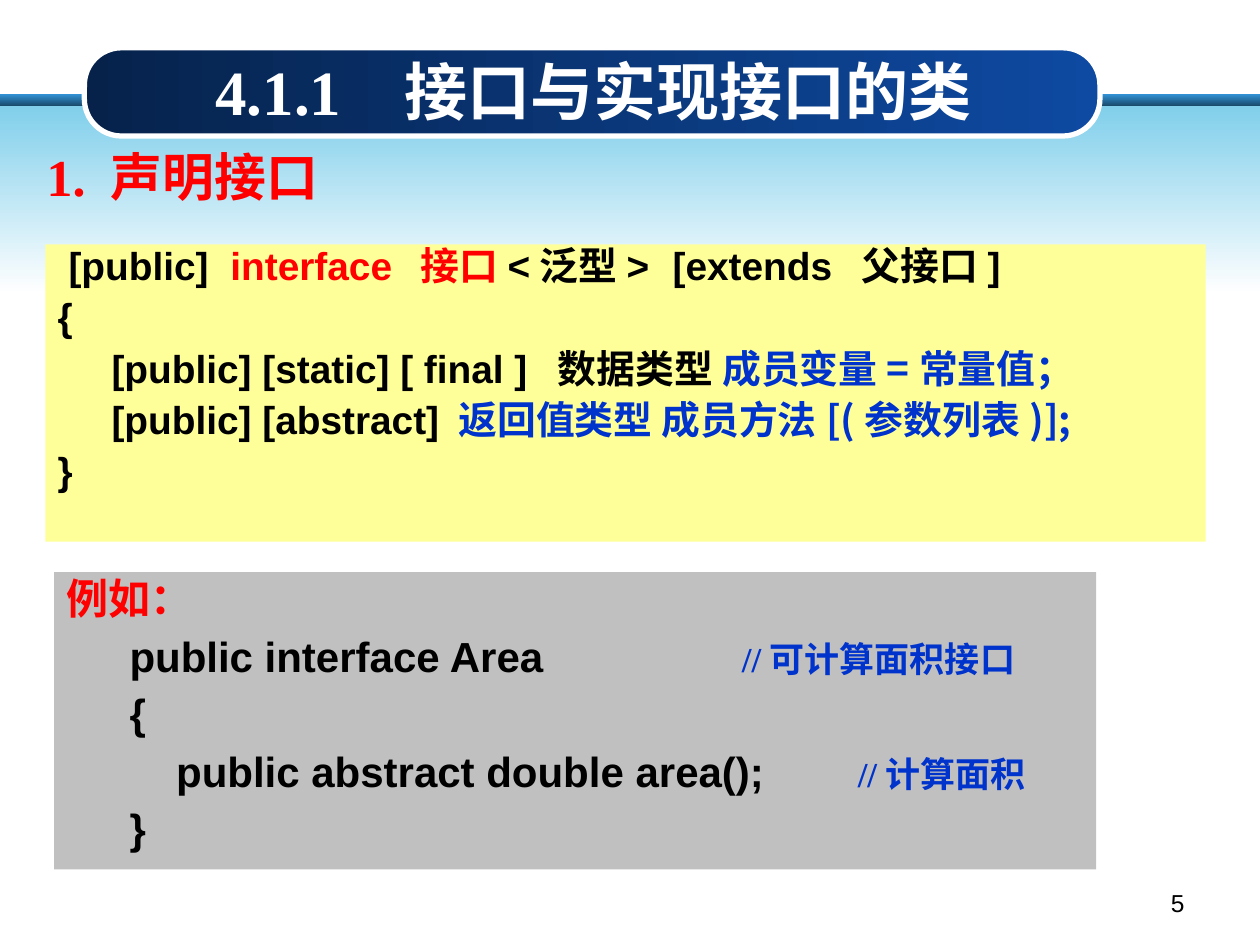
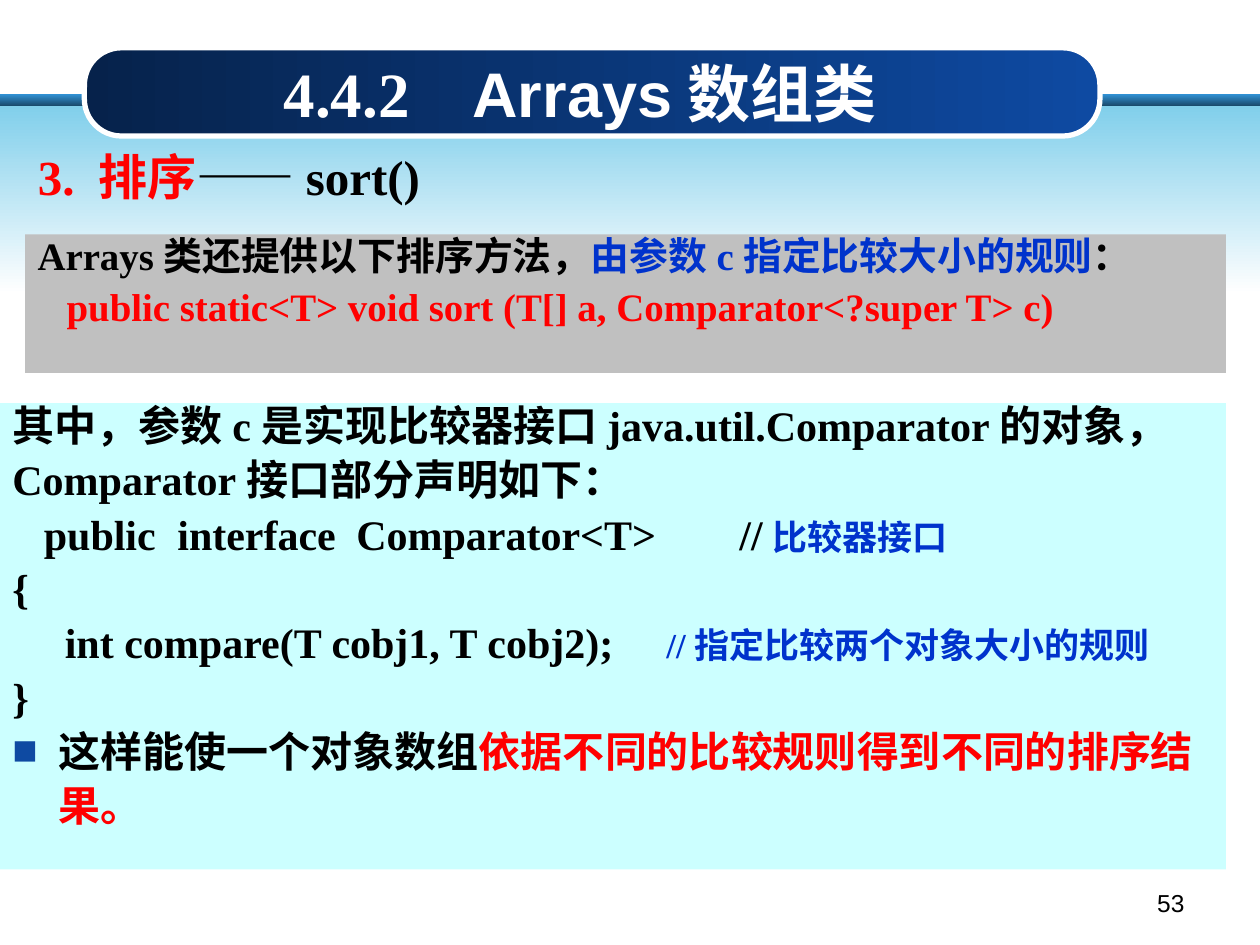
from dataclasses import dataclass

import pptx
import pptx.dml.color
import pptx.enum.shapes
import pptx.enum.text
import pptx.oxml.ns
import pptx.util
from lxml import etree

Inches = pptx.util.Inches
Pt = pptx.util.Pt


# Theme: colours, fonts and type sizes
class Theme:
    black, white, red, blue = "000000", "FFFFFF", "FF0000", "0033CC"
    yellow, gray, cyan = "FFFF99", "C0C0C0", "CCFFFF"
    navy, royal = "06224B", "0E4AA2"
    stripe_top, stripe_bottom, sky = "3191D3", "174362", "81CFEB"
    sans, serif, cjk = "Arial", "Times New Roman", "Noto Sans CJK SC"
    title, heading, code, syntax, comment, number = 36, 28, 24, 22.2, 20, 14
    title_tab = 1.5
    hanging = 0.37


@dataclass
class Run:
    text: str
    color: str = Theme.black
    size: float = 0
    font: str = ""


@dataclass
class Line:
    runs: list
    tabs: tuple = ()
    indent: float = 0
    bullet: bool = False


@dataclass
class Block:
    box: tuple
    lines: list
    size: float
    font: str = Theme.serif
    fill: str = ""
    spacing: float = 0.8
    before: float = 8
    is_body: bool = False


def comment(text, font=""):
    return Run(text, Theme.blue, Theme.comment, font)


# Content
SLIDES = [
    {
        "title": ("4.1.1", "接口与实现接口的类"),
        "title_box": (1.61, 0.37, 6.22, 0.7),
        "title_inset": 0.1,
        "number": "5",
        "blocks": [
            Block((0.27, 1.23, 2.76, 0.47), [Line([Run("1. 声明接口", Theme.red)])],
                  29.6, spacing=0.7, is_body=True),
            Block((0.36, 1.94, 9.21, 2.36), [
                Line([Run(" [public]\t"), Run("interface\t接口", Theme.red),
                      Run("<泛型>\t[extends\t父接口]")], (1.37, 2.88, 4.88, 6.38)),
                Line([Run("{")]),
                Line([Run("     [public] [static] [ final ]\t"),
                      Run("数据类型 ", font=Theme.cjk),
                      Run("成员变量=常量值", Theme.blue, font=Theme.cjk),
                      Run("；", Theme.blue)], (3.97,)),
                Line([Run("     [public] [abstract]\t"),
                      Run("返回值类型 成员方法[(参数列表)];", Theme.blue, font=Theme.cjk)],
                     (3.18,)),
                Line([Run("}")]),
            ], Theme.syntax, Theme.sans, Theme.yellow),
            Block((0.43, 4.54, 8.27, 2.36), [
                Line([Run("例如：", Theme.red)]),
                Line([Run("\tpublic interface Area\t"),
                      comment("//可计算面积接口", Theme.serif)], (0.5, 5.36)),
                Line([Run("\t{")], (0.5,)),
                Line([Run("\tpublic abstract double area();\t"),
                      comment("//计算面积", Theme.serif)], (0.87, 6.28)),
                Line([Run("\t}")], (0.5,)),
            ], Theme.code, Theme.sans, Theme.gray, 0.9, 7),
        ],
    },
    {
        "title": ("4.4.2", "Arrays数组类"),
        "title_box": (1.3, 0.36, 6.61, 0.72),
        "title_inset": 0.95,
        "number": "53",
        "blocks": [
            Block((0.2, 1.2, 3.31, 0.55),
                  [Line([Run("3. 排序", Theme.red), Run("——sort()")])],
                  Theme.heading, is_body=True),
            Block((0.2, 1.86, 9.53, 1.1), [
                Line([Run("Arrays类还提供以下排序方法，"),
                      Run("由参数c指定比较大小的规则", Theme.blue), Run("：")]),
                Line([Run("   public static<T> void sort (T[] a, Comparator<?super T> c)",
                          Theme.red)]),
            ], Theme.syntax, fill=Theme.gray),
            Block((0, 3.2, 9.73, 3.7), [
                Line([Run("其中，参数c是实现比较器接口java.util.Comparator的对象，")]),
                Line([Run("Comparator接口部分声明如下：")]),
                Line([Run("   public\tinterface\tComparator<T>\t//"),
                      comment("比较器接口")], (1.31, 2.73, 5.77)),
                Line([Run("{")]),
                Line([Run("     int compare(T cobj1, T cobj2);\t"),
                      comment("//指定比较两个对象大小的规则")], (5.19,)),
                Line([Run("}")]),
                Line([Run("这样能使一个对象数组"),
                      Run("依据不同的比较规则得到不同的排序结", Theme.red)],
                     indent=Theme.hanging, bullet=True),
                Line([Run("果。", Theme.red)], indent=Theme.hanging),
            ], Theme.code, fill=Theme.cyan),
        ],
    },
]

# Shared bands: preset, box, gradient colours, gradient angle
BANDS = [
    ("RECTANGLE", (0, 0.75, 10, 0.1), (Theme.stripe_top, Theme.stripe_bottom), 270),
    ("RECTANGLE", (0, 0.84, 10, 1.49), (Theme.sky, Theme.white), 270),
    ("ROUNDED_RECTANGLE", (0.67, 0.38, 8.06, 0.7), (Theme.navy, Theme.royal), 0),
]
NUMBER_BOX = (7.17, 7, 2.33, 0.35)


# Helpers
def rgb(value):
    return pptx.dml.color.RGBColor.from_string(value)


def place(shape, box):
    shape.left, shape.top, shape.width, shape.height = map(Inches, box)


def add_child(parent, tag, **attributes):
    return etree.SubElement(parent, pptx.oxml.ns.qn(tag), attributes)


def style_run(run, color, size, font, bold=True):
    run.font.size = Pt(size)
    run.font.bold = bold
    run.font.name = font
    run.font.color.rgb = rgb(color)
    add_child(run.font._element, "a:ea", typeface=Theme.cjk)


def set_layout(paragraph, tabs=(), indent=0, bullet=False, flush=False):
    """Set margin, bullet and tabs; an explicit indent would cancel the tabs."""
    properties = paragraph._p.get_or_add_pPr()
    properties.set("marL", str(Inches(indent)))
    if bullet or flush:
        properties.set("indent", str(-Inches(indent)))
    if bullet:
        add_child(add_child(properties, "a:buClr"), "a:srgbClr", val=Theme.royal)
        add_child(properties, "a:buFont", typeface=Theme.sans)
        add_child(properties, "a:buChar", char="■")
    else:
        add_child(properties, "a:buNone")
    if tabs:
        stops = add_child(properties, "a:tabLst")
        for position in tabs:
            add_child(stops, "a:tab", pos=str(Inches(position)), algn="l")
    paragraph.alignment = pptx.enum.text.PP_ALIGN.LEFT
    paragraph.space_before = Pt(0)


def prepare_frame(shape, anchor=pptx.enum.text.MSO_ANCHOR.TOP):
    frame = shape.text_frame
    frame.word_wrap = True
    frame.auto_size = pptx.enum.text.MSO_AUTO_SIZE.NONE
    frame.vertical_anchor = anchor
    return frame


def add_bands(slide, layout):
    """Draw the bands once and keep them on the shared layout."""
    for placeholder in list(layout.placeholders):
        if placeholder.placeholder_format.idx >= 10:
            layout.shapes._spTree.remove(placeholder._element)
    for position, (preset, box, colors, angle) in enumerate(BANDS):
        kind = pptx.enum.shapes.MSO_SHAPE[preset]
        band = slide.shapes.add_shape(kind, *map(Inches, box))
        band.shadow.inherit = False
        band.fill.gradient()
        band.fill.gradient_angle = angle
        for stop, color in zip(band.fill.gradient_stops, colors):
            stop.color.rgb = rgb(color)
        if preset == "ROUNDED_RECTANGLE":
            band.adjustments[0] = 0.42
            band.line.color.rgb = rgb(Theme.white)
            band.line.width = Pt(3)
        else:
            band.line.fill.background()
        layout.shapes._spTree.insert(2 + position, band._element)


def set_title(slide, content):
    place(slide.shapes.title, content["title_box"])
    frame = prepare_frame(slide.shapes.title, pptx.enum.text.MSO_ANCHOR.BOTTOM)
    frame.margin_left = Inches(content["title_inset"])
    paragraph = frame.paragraphs[0]
    set_layout(paragraph, (Theme.title_tab,))
    section, name = content["title"]
    for text, font in ((section + "\t", Theme.serif), (name, Theme.sans)):
        run = paragraph.add_run()
        run.text = text
        style_run(run, Theme.white, Theme.title, font)


def add_block(slide, block):
    if block.is_body:
        shape = slide.placeholders[1]
        place(shape, block.box)
    else:
        shape = slide.shapes.add_textbox(*map(Inches, block.box))
    if block.fill:
        shape.fill.solid()
        shape.fill.fore_color.rgb = rgb(block.fill)
    frame = prepare_frame(shape)
    for index, line in enumerate(block.lines):
        paragraph = frame.add_paragraph() if index else frame.paragraphs[0]
        set_layout(paragraph, line.tabs, line.indent, line.bullet, block.is_body)
        paragraph.line_spacing = block.spacing
        if index:
            paragraph.space_before = Pt(block.before)
        for part in line.runs:
            run = paragraph.add_run()
            run.text = part.text
            style_run(run, part.color, part.size or block.size, part.font or block.font)


def add_number(slide, number):
    frame = prepare_frame(slide.shapes.add_textbox(*map(Inches, NUMBER_BOX)))
    paragraph = frame.paragraphs[0]
    paragraph.text = number
    paragraph.alignment = pptx.enum.text.PP_ALIGN.RIGHT
    style_run(paragraph.runs[0], Theme.black, Theme.number, Theme.sans, bold=False)


# Build
def main():
    presentation = pptx.Presentation()
    presentation.slide_width, presentation.slide_height = Inches(10), Inches(7.5)
    layout = presentation.slide_layouts[1]
    for index, content in enumerate(SLIDES):
        slide = presentation.slides.add_slide(layout)
        if index == 0:
            add_bands(slide, layout)
        set_title(slide, content)
        for block in content["blocks"]:
            add_block(slide, block)
        add_number(slide, content["number"])
    presentation.save("out.pptx")


if __name__ == "__main__":
    main()
